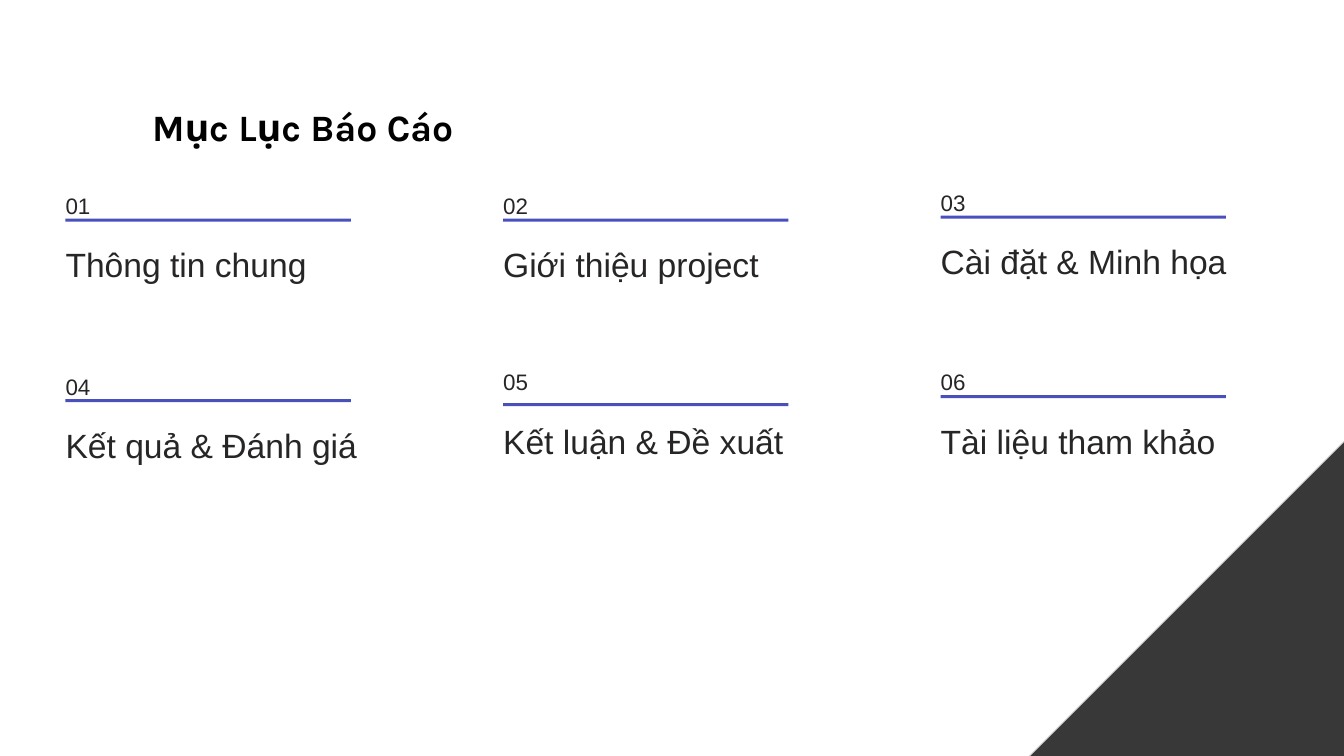
import dataclasses

import pptx
import pptx.dml.color
import pptx.enum.shapes
import pptx.slide
import pptx.util

Inches = pptx.util.Inches
Pt = pptx.util.Pt
RGBColor = pptx.dml.color.RGBColor
Shape = pptx.enum.shapes.MSO_SHAPE

BLACK = RGBColor(0x00, 0x00, 0x00)
INK = RGBColor(0x27, 0x25, 0x25)
INDIGO = RGBColor(0x49, 0x50, 0xBC)
CHARCOAL = RGBColor(0x38, 0x38, 0x38)
PALE_GREY = RGBColor(0xDB, 0xDB, 0xDB)

LEFT_MARGIN = 0.65
COLUMN_STEP = 4.34
LABEL_DROP = 0.67


@dataclasses.dataclass(frozen=True)
class TextStyle:
    font: str
    size: float
    line_spacing: float
    color: RGBColor
    bold: bool = False


@dataclasses.dataclass(frozen=True)
class Entry:
    label: str
    column: int
    top: float
    rule_drop: float = 0.46


TITLE = TextStyle("Karla", 26.6, 64.7, BLACK, bold=True)
NUMBER = TextStyle("Arial", 16, 33.4, INK)
LABEL = TextStyle("Arial", 24, 32, INK)

ENTRIES = [
    Entry("Thông tin chung", 0, 1.71),
    Entry("Giới thiệu project", 1, 1.71),
    Entry("Cài đặt & Minh họa", 2, 1.68),
    Entry("Kết quả & Đánh giá", 0, 3.5),
    Entry("Kết luận & Đề xuất", 1, 3.46, rule_drop=0.54),
    Entry("Tài liệu tham khảo", 2, 3.46),
]


def add_text(page: pptx.slide.Slide, text: str, left: float, top: float,
             width: float, height: float, style: TextStyle) -> None:
    box = page.shapes.add_textbox(
        Inches(left), Inches(top), Inches(width), Inches(height))
    frame = box.text_frame
    frame.margin_left = frame.margin_top = 0
    frame.margin_right = frame.margin_bottom = 0
    frame.word_wrap = False
    frame.text = text
    para = frame.paragraphs[0]
    para.line_spacing = Pt(style.line_spacing)
    span = para.runs[0]
    span.font.name = style.font
    span.font.size = Pt(style.size)
    span.font.bold = style.bold
    span.font.color.rgb = style.color


def add_corner(page: pptx.slide.Slide) -> None:
    corner = page.shapes.add_shape(
        Shape.RIGHT_TRIANGLE, Inches(8.47), Inches(2.24), Inches(7), Inches(7))
    corner.shadow.inherit = False
    corner.fill.solid()
    corner.fill.fore_color.rgb = CHARCOAL
    corner.line.color.rgb = PALE_GREY
    corner.line.width = Pt(0.75)
    # Turn the right angle to the lower right
    corner.element.spPr.xfrm.set("flipH", "1")


def add_rule(page: pptx.slide.Slide, left: float, top: float) -> None:
    rule = page.shapes.add_shape(
        Shape.RECTANGLE, Inches(left), Inches(top), Inches(2.83), Inches(0.03))
    rule.shadow.inherit = False
    rule.fill.solid()
    rule.fill.fore_color.rgb = INDIGO
    rule.line.fill.background()


def add_entry(page: pptx.slide.Slide, number: int, entry: Entry) -> None:
    left = LEFT_MARGIN + entry.column * COLUMN_STEP
    add_text(page, f"{number:02d}", left, entry.top, 0.29, 0.36, NUMBER)
    add_rule(page, left, entry.top + entry.rule_drop)
    add_text(page, entry.label, left, entry.top + LABEL_DROP, 3.98, 0.45, LABEL)


def main() -> None:
    deck = pptx.Presentation()
    deck.slide_width = Inches(13.33)
    deck.slide_height = Inches(7.5)
    page = deck.slides.add_slide(deck.slide_layouts[6])

    # Corner decoration and title
    add_corner(page)
    add_text(page, "Mục Lục Báo Cáo", 1.51, 0.58, 7.24, 0.78, TITLE)

    # Contents grid
    for number, entry in enumerate(ENTRIES, start=1):
        add_entry(page, number, entry)

    deck.save("out.pptx")


if __name__ == "__main__":
    main()
